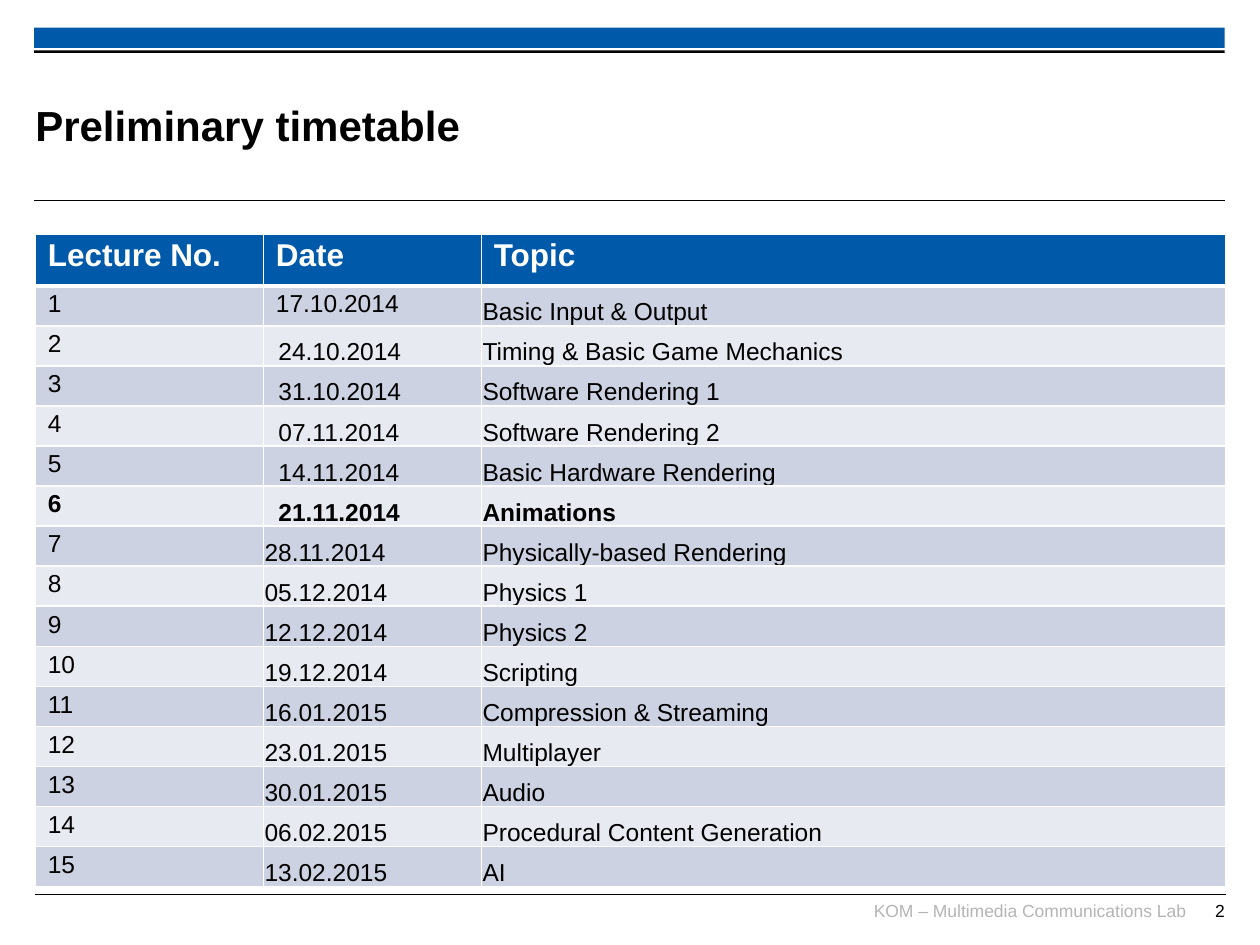
from lxml import etree
from pptx import Presentation
from pptx.dml.color import RGBColor
from pptx.enum import shapes, text
from pptx.oxml.ns import qn
from pptx.util import Inches, Pt

# Content
TITLE = "Preliminary timetable"
FOOTER = "KOM – Multimedia Communications Lab"
PAGE_NUMBER = "2"
HEADERS = ("Lecture No.", "Date", "Topic")
LECTURES = [
    ("17.10.2014", "Basic Input & Output"),
    ("24.10.2014", "Timing & Basic Game Mechanics"),
    ("31.10.2014", "Software Rendering 1"),
    ("07.11.2014", "Software Rendering 2"),
    ("14.11.2014", "Basic Hardware Rendering"),
    ("21.11.2014", "Animations"),
    ("28.11.2014", "Physically-based Rendering"),
    ("05.12.2014", "Physics 1"),
    ("12.12.2014", "Physics 2"),
    ("19.12.2014", "Scripting"),
    ("16.01.2015", "Compression & Streaming"),
    ("23.01.2015", "Multiplayer"),
    ("30.01.2015", "Audio"),
    ("06.02.2015", "Procedural Content Generation"),
    ("13.02.2015", "AI"),
]
CURRENT_LECTURE = 6  # set in bold; dates up to here are indented

# Look
COLORS = {"blue": "005AA9", "black": "000000", "white": "FFFFFF",
          "grey": "B5B5B5", "odd": "CCD2E2", "even": "E7EAF1"}
FONT = "Arial"
LEFT, WIDTH = 0.28, 9.45
TABLE_TOP, TABLE_HEIGHT, HEADER_HEIGHT = 1.86, 5.18, 0.41
COLUMN_WIDTHS = (1.81, 1.73, 5.91)
DATE_INDENT = 0.12


def color(name):
    return RGBColor.from_string(COLORS[name])


def style(para, size, name, bold=False):
    para.font.name = FONT
    para.font.size = Pt(size)
    para.font.bold = bold
    para.font.color.rgb = color(name)


def clear_margins(frame):
    frame.margin_left = frame.margin_right = 0
    frame.margin_top = frame.margin_bottom = 0


def add_bar(slide, top, height, name):
    bar = slide.shapes.add_shape(shapes.MSO_SHAPE.RECTANGLE, Inches(0.27),
                                 Inches(top), Inches(WIDTH), Inches(height))
    bar.shadow.inherit = False
    bar.fill.solid()
    bar.fill.fore_color.rgb = color(name)
    bar.line.fill.background()


def add_rule(slide, left, y):
    rule = slide.shapes.add_connector(
        shapes.MSO_CONNECTOR.STRAIGHT, Inches(left), Inches(y),
        Inches(left + WIDTH), Inches(y))
    rule.line.color.rgb = color("black")
    rule.line.width = Pt(0.6)
    etree.SubElement(rule._element.spPr, qn("a:effectLst"))


def add_label(slide, words, left, width, name):
    box = slide.shapes.add_textbox(Inches(left), Inches(7.14),
                                   Inches(width), Inches(0.25))
    frame = box.text_frame
    frame.word_wrap = True
    clear_margins(frame)
    para = frame.paragraphs[0]
    para.text = words
    para.alignment = text.PP_ALIGN.RIGHT
    style(para, 10, name)


def add_borders(cell, top, bottom):
    props = cell._tc.get_or_add_tcPr()
    for side, points in (("L", 1), ("R", 1), ("T", top), ("B", bottom)):
        line = etree.SubElement(props, qn(f"a:ln{side}"), w=str(Pt(points)))
        fill = etree.SubElement(line, qn("a:solidFill"))
        etree.SubElement(fill, qn("a:srgbClr"), val=COLORS["white"])


def fill_cell(cell, words, row, column):
    header = row == 0
    add_borders(cell, 3 if row == 1 else 1, 3 if header else 1)
    cell.fill.solid()
    cell.fill.fore_color.rgb = color(
        "blue" if header else "odd" if row % 2 else "even")
    # Dates and topics sit on the row's lower edge, except the first date
    if not header and (column == 2 or column == 1 and row > 1):
        indented = column == 1 and row <= CURRENT_LECTURE
        cell.vertical_anchor = text.MSO_ANCHOR.BOTTOM
        cell.margin_left = Inches(DATE_INDENT if indented else 0.01)
        cell.margin_right = cell.margin_top = Inches(0.01)
        cell.margin_bottom = 0
    para = cell.text_frame.paragraphs[0]
    para.text = words
    para.line_spacing = 0.93
    if header:
        style(para, 18, "white", True)
    else:
        style(para, 14, "black", row == CURRENT_LECTURE)


def add_timetable(slide):
    rows = [HEADERS] + [(str(number), *lecture)
                        for number, lecture in enumerate(LECTURES, 1)]
    table = slide.shapes.add_table(
        len(rows), len(HEADERS), Inches(LEFT), Inches(TABLE_TOP),
        Inches(WIDTH), Inches(TABLE_HEIGHT)).table
    for column, width in zip(table.columns, COLUMN_WIDTHS):
        column.width = Inches(width)
    row_height = (TABLE_HEIGHT - HEADER_HEIGHT) / len(LECTURES)
    for r, values in enumerate(rows):
        table.rows[r].height = Inches(row_height if r else HEADER_HEIGHT)
        for c, words in enumerate(values):
            fill_cell(table.cell(r, c), words, r, c)


def main():
    deck = Presentation()
    deck.slide_width, deck.slide_height = Inches(10), Inches(7.5)
    slide = deck.slides.add_slide(deck.slide_layouts[5])

    # Frame of the page
    add_rule(slide, LEFT, 7.1)
    add_bar(slide, 0.22, 0.16, "blue")
    add_rule(slide, 0.27, 1.59)
    add_bar(slide, 0.4, 0.02, "black")
    add_label(slide, FOOTER, 6.89, 2.52, "grey")
    add_label(slide, PAGE_NUMBER, 9.29, 0.43, "black")

    # Title
    title = slide.shapes.title
    title.left, title.top = Inches(LEFT), Inches(0.53)
    title.width, title.height = Inches(7.52), Inches(0.92)
    frame = title.text_frame
    clear_margins(frame)
    frame.vertical_anchor = text.MSO_ANCHOR.MIDDLE
    para = frame.paragraphs[0]
    para.text = TITLE
    para.alignment = text.PP_ALIGN.LEFT
    style(para, 24, "black", True)

    add_timetable(slide)
    deck.save("out.pptx")


if __name__ == "__main__":
    main()
